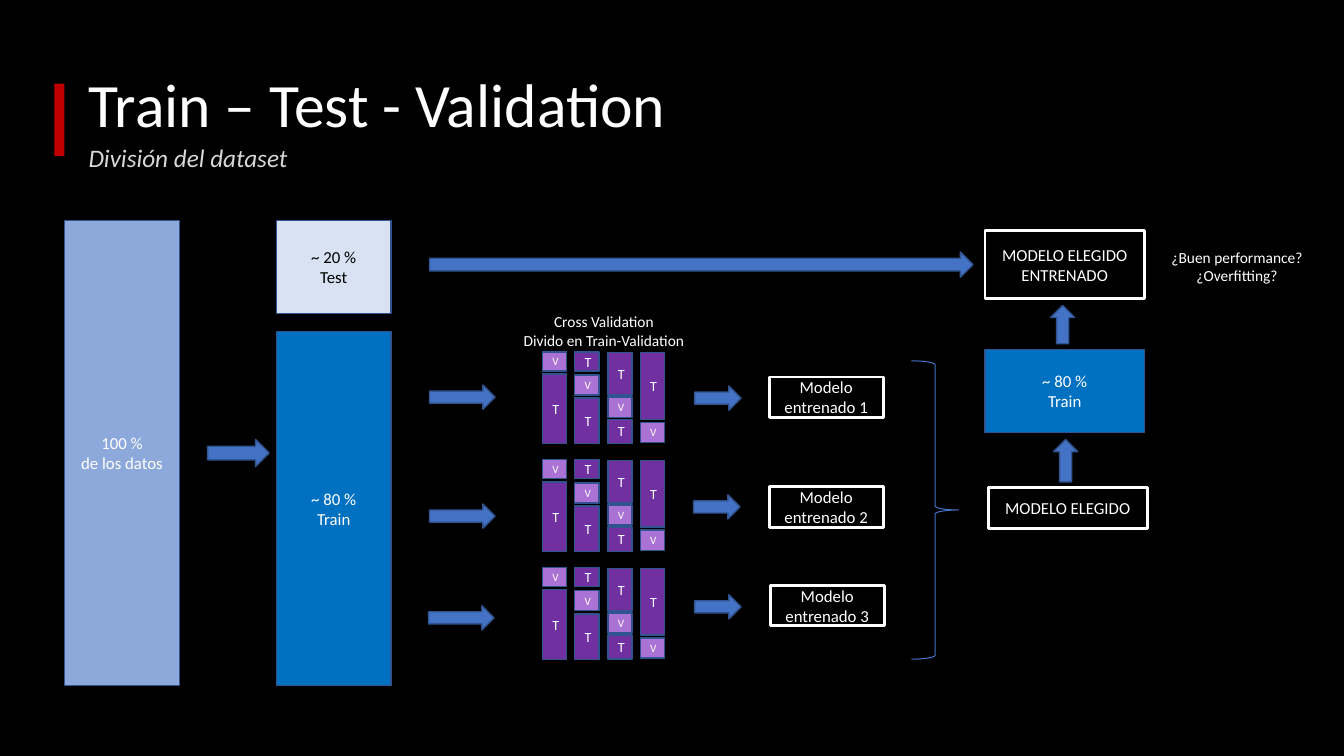
"""Build the train, test and validation split slide."""
from pptx import Presentation
from pptx import util as u
from pptx.dml.color import RGBColor
from pptx.enum import shapes, text

PX = 9144
FONT = "Calibri"
COLORS = {
    "black": "000000", "white": "FFFFFF", "grey": "D8D8D8", "red": "C00000",
    "all": "8DA9DB", "test": "D8E2F3", "train": "0070C0", "arrow": "4472C4",
    "edge": "31538F", "T": "7030A0", "V": "AA72D4",
}

TEXTS = [
    ("Train – Test - Validation", (78, 34, 825, 145), 44, "white", False),
    ("División del dataset", (78, 140, 600, 52), 18, "grey", True),
]
NOTES = [
    ("Cross Validation\nDivido en Train-Validation", (502, 305, 194, 47)),
    ("¿Buen performance?\n¿Overfitting?", (1148, 241, 158, 47)),
]
ACCENT = (54, 83, 10, 72)
DATA_BLOCKS = [
    ("100 %\nde los datos", (64, 219, 114, 461), "all", "white"),
    ("~ 20 %\nTest", (274, 219, 114, 92), "test", "black"),
    ("~ 80 %\nTrain", (274, 329, 114, 351), "train", "white"),
    ("~ 80 %\nTrain", (977, 347, 158, 82), "train", "white"),
]
MODELS = [
    ("Modelo entrenado 1", (763, 374, 113, 40)),
    ("Modelo entrenado 2", (763, 483, 113, 40)),
    ("Modelo entrenado 3", (764, 581, 113, 40)),
    ("MODELO ELEGIDO", (980, 484, 158, 40)),
    ("MODELO ELEGIDO ENTRENADO", (977, 229, 158, 67)),
]
ARROWS = [
    (206, 436, 61, 27), (426, 250, 539, 25),
    (426, 382, 65, 24), (426, 500, 65, 24), (425, 601, 65, 24),
    (689, 383, 46, 24), (688, 491, 46, 24), (689, 590, 46, 24),
]
UP_ARROWS = [(1036, 445, 42, 24), (1035, 310, 38, 24)]
BRACE = (904, 358, 47, 296)

FOLDS = [
    (538, [("V", 0, 19), ("T", 22, 69)]),
    (570, [("T", 0, 19), ("V", 23, 20), ("T", 46, 45)]),
    (603, [("T", 1, 42), ("V", 45, 20), ("T", 67, 24)]),
    (635, [("T", 1, 66), ("V", 70, 20)]),
]
FOLD_TOP, FOLD_STEP, FOLD_COUNT, FOLD_WIDTH = 349, 107, 3, 24
TILE_SIZES = {"T": 10, "V": 8}

deck = Presentation()
deck.slide_width, deck.slide_height = 1333 * PX, 750 * PX
page = deck.slides.add_slide(deck.slide_layouts[6])


def color(name):
    return RGBColor.from_string(COLORS[name])


def place(area):
    return [length * PX for length in area]


def write(box, words, size, ink, align=text.PP_ALIGN.CENTER, italic=False):
    frame = box.text_frame
    frame.word_wrap = True
    frame.text = words
    for para in frame.paragraphs:
        para.alignment = align
        for span in para.runs:
            span.font.name = FONT
            span.font.size = u.Pt(size)
            span.font.italic = italic
            span.font.color.rgb = color(ink)
    return frame


def draw(kind, area, fill=None, line=None, width=1):
    shape = page.shapes.add_shape(kind, *place(area))
    shape.shadow.inherit = False
    if fill:
        shape.fill.solid()
        shape.fill.fore_color.rgb = color(fill)
    else:
        shape.fill.background()
    if line:
        shape.line.color.rgb = color(line)
        shape.line.width = u.Pt(width)
    else:
        shape.line.fill.background()
    return shape


def block(words, area, fill, line, size=12, ink="white", width=1):
    shape = draw(shapes.MSO_SHAPE.RECTANGLE, area, fill, line, width)
    frame = write(shape, words, size, ink)
    frame.vertical_anchor = text.MSO_ANCHOR.MIDDLE


page.background.fill.solid()
page.background.fill.fore_color.rgb = color("black")

for words, area, size, ink, italic in TEXTS:
    box = page.shapes.add_textbox(*place(area))
    frame = write(box, words, size, ink, text.PP_ALIGN.LEFT, italic)
    frame.paragraphs[0].line_spacing = 0.9
    if not italic:
        frame.vertical_anchor = text.MSO_ANCHOR.MIDDLE

draw(shapes.MSO_SHAPE.RECTANGLE, ACCENT, "red")

for words, area, fill, ink in DATA_BLOCKS:
    block(words, area, fill, "edge", ink=ink)

for words, area in MODELS:
    block(words, area, None, "white", width=2)

for row in range(FOLD_COUNT):
    top = FOLD_TOP + row * FOLD_STEP
    for left, tiles in FOLDS:
        for label, offset, height in tiles:
            area = (left, top + offset, FOLD_WIDTH, height)
            block(label, area, label, "edge", TILE_SIZES[label])

for area in ARROWS + UP_ARROWS:
    arrow = draw(shapes.MSO_SHAPE.RIGHT_ARROW, area, "arrow", "edge")
    if area in UP_ARROWS:
        arrow.rotation = 270

draw(shapes.MSO_SHAPE.RIGHT_BRACE, BRACE, None, "arrow", 0.75)

for words, area in NOTES:
    write(page.shapes.add_textbox(*place(area)), words, 11, "white")

deck.save("out.pptx")
